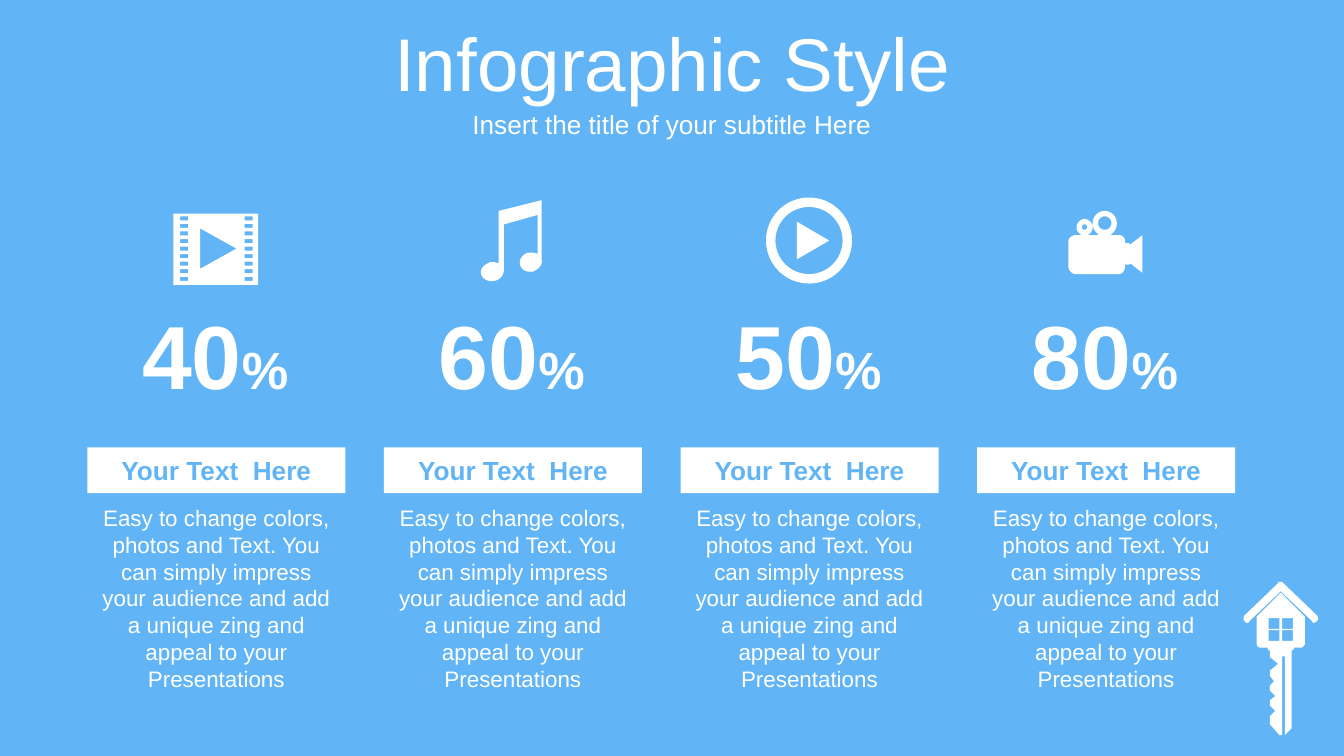
from math import cos, sin, pi
from pptx import Presentation
from pptx.util import Inches, Pt
from pptx.dml.color import RGBColor
from pptx.enum.shapes import MSO_SHAPE
from pptx.enum.text import MSO_ANCHOR as Anchor, PP_ALIGN as Align

WHITE = RGBColor(0xFF, 0xFF, 0xFF)
BLUE = RGBColor(0x61, 0xB4, 0xF6)
FONT = "Arial"

TITLE = "Infographic Style"
SUBTITLE = "Insert the title of your subtitle Here"
PERCENTAGES = ["40", "60", "50", "80"]
HEADING = "Your Text  Here"
DESCRIPTION = ("Easy to change colors, photos and Text. You can simply impress your "
               "audience and add a unique zing and appeal to your Presentations")

SLIDE_WIDTH = Inches(10)
FIRST_LEFT, LAST_LEFT, COLUMN_WIDTH = 0.65, 7.27, 1.92


def box(left, top, width, height):
    right, bottom = left + width, top + height
    return [(left, top), (right, top), (right, bottom), (left, bottom)]


def circle(x, y, radius, steps=48):
    angles = [2 * pi * step / steps for step in range(steps)]
    return [(x + radius * cos(a), y + radius * sin(a)) for a in angles]


def bezier(start, curve, steps=8):
    x0, y0 = start
    x1, y1, x2, y2, x3, y3 = curve
    points = []
    for step in range(1, steps + 1):
        t = step / steps
        weights = (1 - t) ** 3, 3 * t * (1 - t) ** 2, 3 * t * t * (1 - t), t ** 3
        points.append(tuple(sum(w * v for w, v in zip(weights, values))
                            for values in ((x0, x1, x2, x3), (y0, y1, y2, y3))))
    return points


def outline(*segments):
    points = []
    for segment in segments:
        points += [segment] if len(segment) == 2 else bezier(points[-1], segment)
    return points


HOUSE_KEY = [
    outline((9.45, 4.84), (9.61, 4.84), (9.61, 5.42), (9.56, 5.47), (9.56, 4.89),
            (9.56, 4.88, 9.54, 4.88, 9.54, 4.89), (9.54, 5.47), (9.52, 5.47),
            (9.45, 5.39), (9.45, 5.33), (9.49, 5.29), (9.45, 5.25), (9.45, 5.21),
            (9.49, 5.18), (9.45, 5.14), (9.45, 5.1), (9.48, 5.07), (9.45, 5.03),
            (9.45, 4.99), (9.51, 4.94), (9.45, 4.89)),
    *[box(x, y, 0.08, 0.08) for x in (9.44, 9.54) for y in (4.6, 4.69)],
    outline((9.53, 4.41), (9.71, 4.59), (9.71, 4.79), (9.71, 4.8, 9.69, 4.82, 9.68, 4.82),
            (9.63, 4.82), (9.62, 4.84), (9.44, 4.84), (9.43, 4.82), (9.38, 4.82),
            (9.36, 4.82, 9.35, 4.8, 9.35, 4.79), (9.35, 4.59)),
    outline((9.53, 4.33), (9.54, 4.33, 9.54, 4.33, 9.55, 4.34), (9.8, 4.58),
            (9.81, 4.6, 9.81, 4.61, 9.8, 4.62), (9.78, 4.64, 9.77, 4.64, 9.76, 4.62),
            (9.53, 4.4), (9.3, 4.62), (9.29, 4.64, 9.27, 4.64, 9.26, 4.62),
            (9.25, 4.61, 9.25, 4.6, 9.26, 4.58), (9.51, 4.34),
            (9.51, 4.33, 9.52, 4.33, 9.53, 4.33)),
]
PLAY_BUTTON = [
    [(5.93, 1.65), (6.17, 1.79), (5.93, 1.93)],
    circle(6.02, 1.79, 0.25),
    circle(6.02, 1.79, 0.32),
]
FILM = [
    box(1.29, 1.59, 0.63, 0.53),
    [(1.49, 1.7), (1.49, 2), (1.76, 1.85)],
    *[box(x, 1.61 + 0.45 * row / 8, 0.06, 0.03) for x in (1.34, 1.82) for row in range(9)],
]
MUSIC_NOTE = [
    outline((4.03, 1.49), (4.03, 1.93), (4.04, 1.97, 4.01, 2, 3.97, 2.02),
            (3.92, 2.03, 3.88, 2.01, 3.87, 1.97), (3.86, 1.93, 3.89, 1.89, 3.93, 1.88),
            (3.96, 1.88, 3.98, 1.88, 4, 1.89), (4, 1.6), (3.75, 1.67), (3.75, 2),
            (3.75, 2.04, 3.73, 2.08, 3.68, 2.09), (3.64, 2.1, 3.59, 2.08, 3.58, 2.04),
            (3.57, 2, 3.6, 1.97, 3.65, 1.95), (3.67, 1.95, 3.69, 1.95, 3.71, 1.96),
            (3.71, 1.57)),
]
CAMERA = [
    circle(8.07, 1.69, 0.02),
    circle(8.22, 1.66, 0.05),
    outline((8.22, 1.57), (8.27, 1.57, 8.31, 1.61, 8.31, 1.66),
            (8.31, 1.7, 8.29, 1.73, 8.26, 1.75), (8.33, 1.75),
            (8.35, 1.75, 8.37, 1.77, 8.37, 1.79), (8.37, 1.81), (8.4, 1.81),
            (8.41, 1.82), (8.5, 1.75), (8.5, 2.03), (8.41, 1.96), (8.4, 1.97),
            (8.37, 1.97), (8.37, 1.99), (8.37, 2.01, 8.35, 2.04, 8.33, 2.04),
            (8, 2.04), (7.98, 2.04, 7.95, 2.01, 7.95, 1.99), (7.95, 1.79),
            (7.95, 1.77, 7.98, 1.75, 8, 1.75), (8.05, 1.75),
            (8.03, 1.74, 8.01, 1.72, 8.01, 1.69), (8.01, 1.66, 8.04, 1.63, 8.07, 1.63),
            (8.1, 1.63, 8.13, 1.66, 8.13, 1.69), (8.13, 1.72, 8.11, 1.74, 8.09, 1.75),
            (8.18, 1.75), (8.15, 1.73, 8.13, 1.7, 8.13, 1.66),
            (8.13, 1.61, 8.17, 1.57, 8.22, 1.57)),
]


def paint_white(shape):
    shape.shadow.inherit = False
    shape.fill.solid()
    shape.fill.fore_color.rgb = WHITE
    shape.line.fill.background()


def add_icon(slide, contours):
    first, *others = [[(Inches(x), Inches(y)) for x, y in contour] for contour in contours]
    builder = slide.shapes.build_freeform(*first[0])
    builder.add_line_segments(first[1:])
    for contour in others:
        builder.move_to(*contour[0])
        builder.add_line_segments(contour[1:])
    paint_white(builder.convert_to_shape())


def write(shape, text, size, color=WHITE, bold=False, align=Align.CENTER,
          anchor=Anchor.MIDDLE, wrap=True):
    frame = shape.text_frame
    frame.word_wrap = wrap
    frame.vertical_anchor = anchor
    paragraph = frame.paragraphs[0]
    paragraph.text = text
    paragraph.alignment = align
    paragraph.font.name = FONT
    paragraph.font.size = Pt(size)
    paragraph.font.bold = bold
    paragraph.font.color.rgb = color
    return paragraph


def add_text(slide, left, top, width, height, text, size, **style):
    shape = slide.shapes.add_textbox(Inches(left), Inches(top), Inches(width), Inches(height))
    return write(shape, text, size, **style)


presentation = Presentation()
presentation.slide_width = SLIDE_WIDTH
presentation.slide_height = SLIDE_WIDTH * 9 // 16
slide = presentation.slides.add_slide(presentation.slide_layouts[6])
slide.background.fill.solid()
slide.background.fill.fore_color.rgb = BLUE

add_icon(slide, HOUSE_KEY)
add_text(slide, 0, 0.14, 10, 0.63, TITLE, 40)
add_text(slide, 0, 0.77, 10, 0.31, SUBTITLE, 14)

pitch = (LAST_LEFT - FIRST_LEFT) / (len(PERCENTAGES) - 1)
for column, percentage in enumerate(PERCENTAGES):
    left = FIRST_LEFT + column * pitch
    add_text(slide, left, 3.7, COLUMN_WIDTH, 1.51, DESCRIPTION, 12, anchor=Anchor.TOP)
    banner = slide.shapes.add_shape(MSO_SHAPE.RECTANGLE, Inches(left), Inches(3.33),
                                    Inches(COLUMN_WIDTH), Inches(0.34))
    paint_white(banner)
    write(banner, HEADING, 14, color=BLUE, bold=True)
    number = add_text(slide, left + 0.31, 2.18, 1.3, 0.91, percentage, 48, bold=True,
                      align=Align.LEFT, anchor=Anchor.TOP, wrap=False)
    sign = number.add_run()
    sign.text = "%"
    sign.font.size = Pt(28)

for icon in (PLAY_BUTTON, FILM, MUSIC_NOTE, CAMERA):
    add_icon(slide, icon)

presentation.save("out.pptx")
